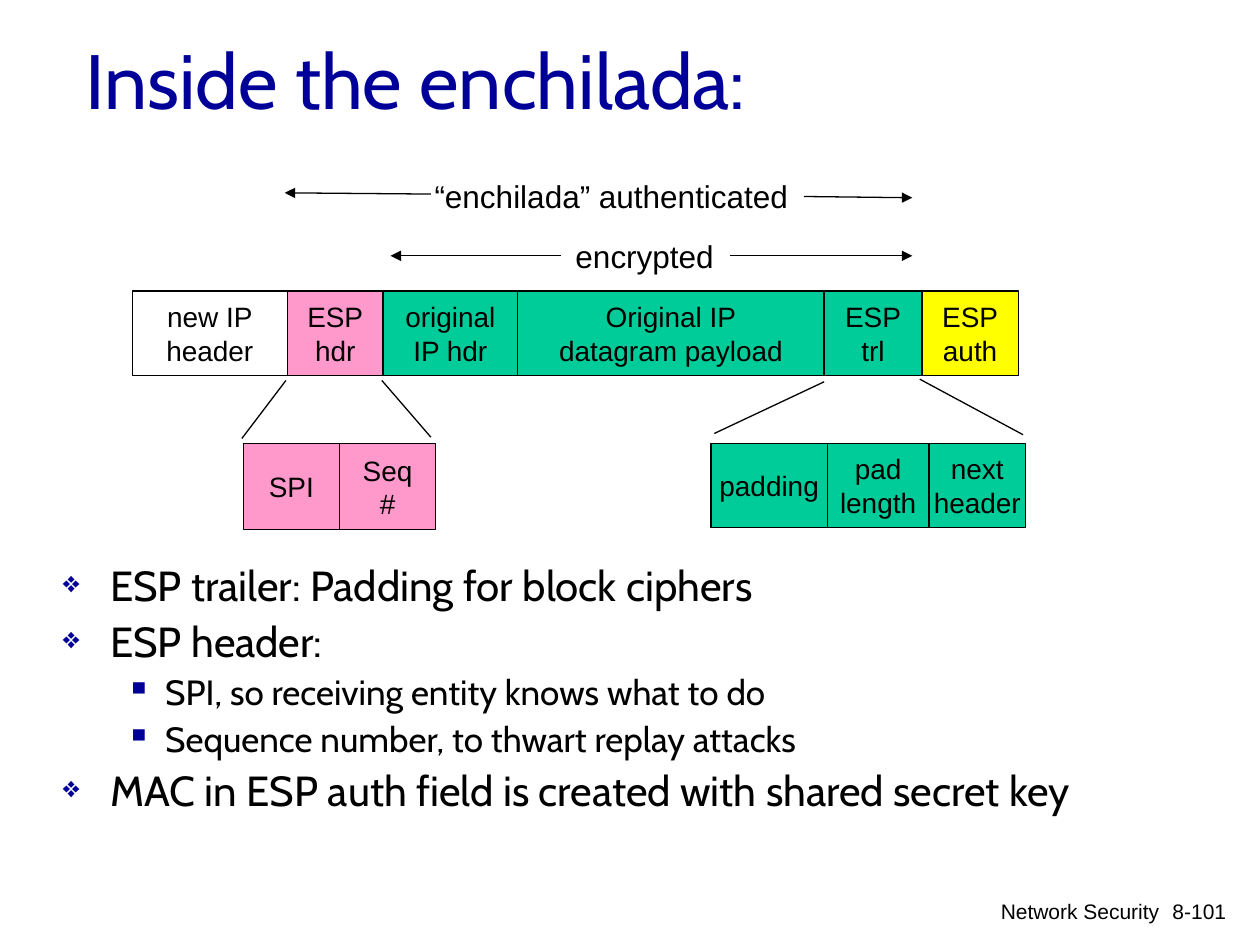
import pptx
import pptx.util
import pptx.dml.color
import pptx.enum.shapes
import pptx.enum.text
import pptx.oxml.ns
from dataclasses import dataclass
from lxml import etree

Pt = pptx.util.Pt
Align = pptx.enum.text.PP_ALIGN
Anchor = pptx.enum.text.MSO_ANCHOR


@dataclass(frozen=True)
class Theme:
    ink: str = "000000"
    navy: str = "000099"
    pink: str = "FF99CC"
    green: str = "00CC99"
    yellow: str = "FFFF00"
    sans: str = "Arial"
    head: str = "Cabin"
    title: int = 44
    body: int = 24
    sub: int = 20
    label: int = 18
    cell: int = 16
    foot: int = 12
    line: float = 0.75


T = Theme()


def rgb(code):
    return pptx.dml.color.RGBColor.from_string(code)


def style(para, size, face=T.sans, color=T.ink):
    para.font.size = Pt(size)
    para.font.name = face
    para.font.color.rgb = rgb(color)


def add(parent, tag, **attrs):
    return etree.SubElement(parent, pptx.oxml.ns.qn(tag), attrs)


def text(slide, words, box, size, face=T.sans, color=T.ink,
         align=Align.LEFT, anchor=Anchor.TOP, wrap=True):
    frame = slide.shapes.add_textbox(*map(Pt, box)).text_frame
    frame.word_wrap = wrap
    frame.vertical_anchor = anchor
    frame.text = words
    para = frame.paragraphs[0]
    para.alignment = align
    style(para, size, face, color)


def row(slide, left, top, high, cells):
    """Lay touching header fields from left to right."""
    for words, wide, fill in cells:
        shape = slide.shapes.add_shape(
            pptx.enum.shapes.MSO_SHAPE.RECTANGLE,
            Pt(left), Pt(top), Pt(wide), Pt(high))
        shape.shadow.inherit = False
        if fill:
            shape.fill.solid()
            shape.fill.fore_color.rgb = rgb(fill)
        else:
            shape.fill.background()
        shape.line.color.rgb = rgb(T.ink)
        shape.line.width = Pt(T.line)
        frame = shape.text_frame
        frame.word_wrap = False
        frame.vertical_anchor = Anchor.MIDDLE
        frame.text = words
        for para in frame.paragraphs:
            para.alignment = Align.CENTER
            style(para, T.cell)
        left += wide


def line(slide, ends, arrow=False):
    link = slide.shapes.add_connector(
        pptx.enum.shapes.MSO_CONNECTOR.STRAIGHT, *map(Pt, ends))
    link.line.color.rgb = rgb(T.ink)
    link.line.width = Pt(T.line)
    if arrow:
        add(link.line._get_or_add_ln(), "a:tailEnd", type="triangle")
    add(link._element.spPr, "a:effectLst")


def bullets(slide, box, items):
    frame = slide.shapes.add_textbox(*map(Pt, box)).text_frame
    frame.word_wrap = True
    for n, (level, words) in enumerate(items):
        para = frame.paragraphs[0] if n == 0 else frame.add_paragraph()
        para.text = words
        para.level = level
        mark, left, hang, gap, size = (
            ("▪", 58.5, 22.5, 5, T.sub) if level else
            ("❖", 27, 27, 6, T.body))
        para.line_spacing = 0.9
        para.space_before = Pt(gap if n else 0)
        props = para._p.get_or_add_pPr()
        props.set("marL", str(Pt(left)))
        props.set("indent", str(-Pt(hang)))
        add(add(props, "a:buClr"), "a:srgbClr", val=T.navy)
        if level == 0:
            add(props, "a:buSzPct", val="70000")
        add(props, "a:buChar", char=mark)
        style(para, size, T.head)


def main():
    deck = pptx.Presentation()
    deck.slide_width, deck.slide_height = Pt(720), Pt(540)
    slide = deck.slides.add_slide(deck.slide_layouts[6])

    text(slide, "8-101", (654.5, 509.8, 53.3, 24), T.foot, align=Align.RIGHT)
    text(slide, "Network Security", (365.8, 509.8, 303.8, 24), T.foot,
         align=Align.RIGHT)
    text(slide, "Inside the enchilada:", (41.8, 0, 612, 90), T.title,
         T.head, T.navy, anchor=Anchor.MIDDLE)
    bullets(slide, (28.8, 319.7, 612, 186.5), [
        (0, "ESP trailer: Padding for block ciphers"),
        (0, "ESP header:"),
        (1, "SPI, so receiving entity knows what to do"),
        (1, "Sequence number, to thwart replay attacks"),
        (0, "MAC in ESP auth field is created with shared secret key"),
    ])

    row(slide, 75.6, 166.3, 48.2, [
        ("new IP\vheader", 88.6, None),
        ("ESP\nhdr", 54.7, T.pink),
        ("original\vIP hdr", 77, T.green),
        ("Original IP\ndatagram payload", 175, T.green),
        ("ESP\ntrl", 56, T.green),
        ("ESP\nauth", 55, T.yellow),
    ])
    row(slide, 406.3, 253.4, 48.2, [
        ("padding", 66.5, T.green),
        ("pad\vlength", 58, T.green),
        ("next\vheader", 55.3, T.green),
    ])
    row(slide, 139, 253.6, 49, [
        ("SPI", 55, T.pink),
        ("Seq\n#", 55, T.pink),
    ])

    text(slide, "encrypted", (321.8, 131.8, 93.6, 28.8), T.label, wrap=False)
    text(slide, "“enchilada” authenticated", (241.2, 97.9, 216.7, 28.8),
         T.label, wrap=False)
    for ends in [(416.9, 146.2, 521.3, 146.2), (320.4, 146.2, 223.2, 146.2),
                 (459.4, 112.3, 521.3, 113), (246.2, 110.9, 162.7, 110.2)]:
        line(slide, ends, arrow=True)
    for ends in [(408.2, 247.7, 470.9, 218.2), (584.6, 248.4, 525.6, 216.7),
                 (138.2, 250.6, 163.4, 217.4), (218.2, 217.4, 246.2, 249.8)]:
        line(slide, ends)

    deck.save("out.pptx")


if __name__ == "__main__":
    main()
